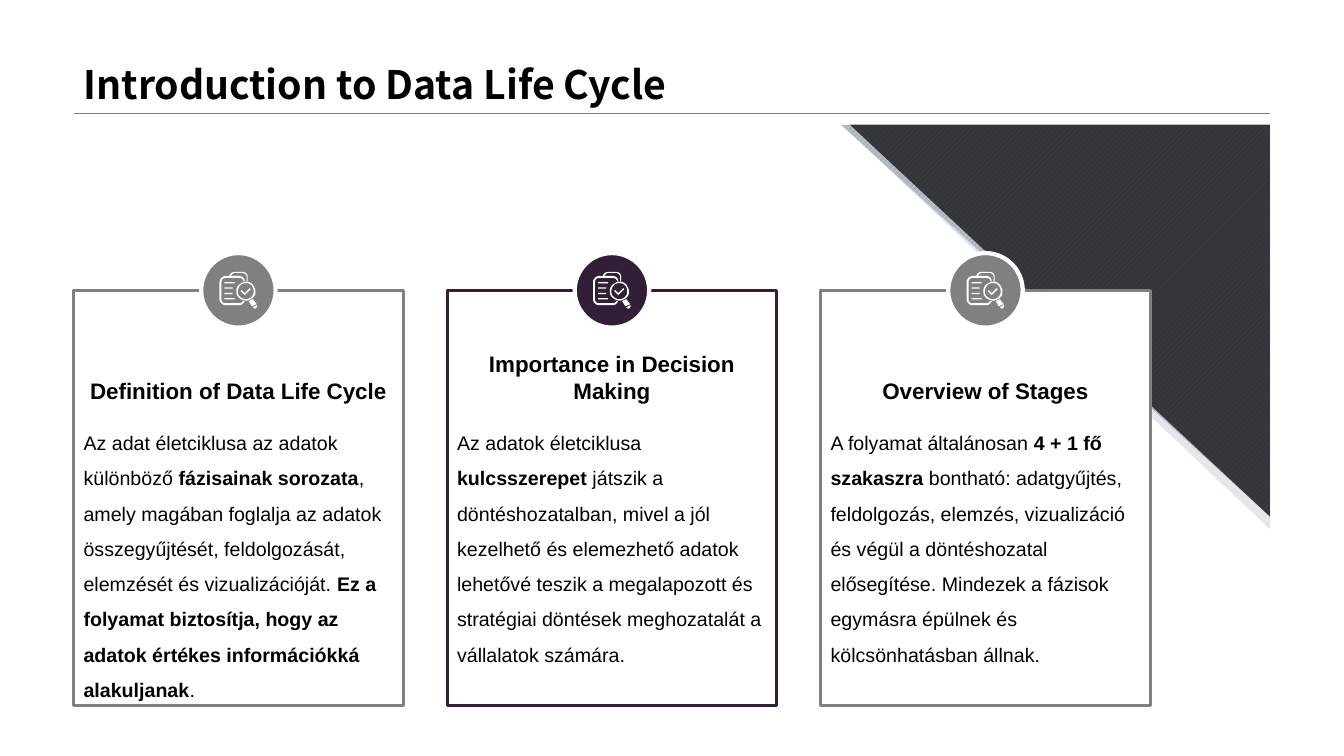
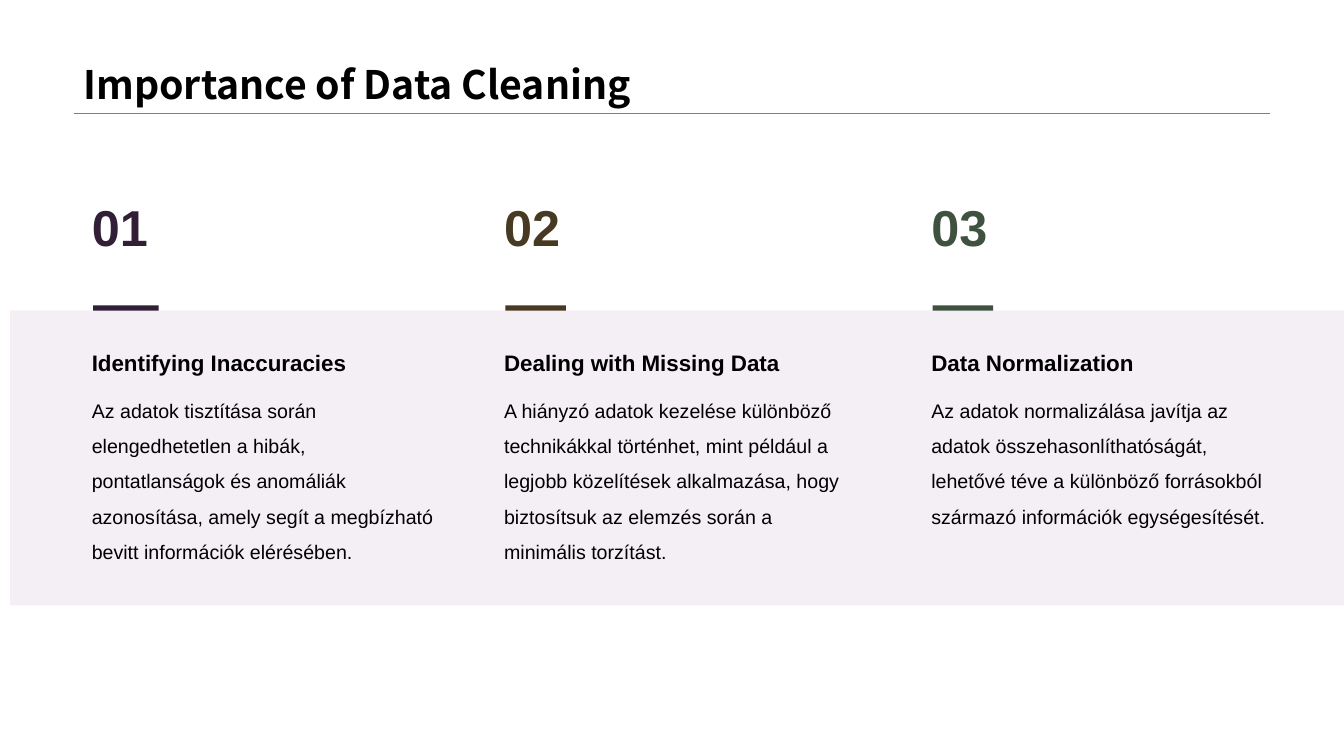
from pptx import Presentation
from pptx.dml.color import RGBColor
from pptx.enum.dml import MSO_PATTERN
from pptx.enum.shapes import MSO_CONNECTOR, MSO_SHAPE
from pptx.enum.text import MSO_ANCHOR, PP_ALIGN
from pptx.oxml.ns import qn
from pptx.util import Pt
from lxml import etree

RECTANGLE = MSO_SHAPE.RECTANGLE
OVAL = MSO_SHAPE.OVAL
RIGHT_TRIANGLE = MSO_SHAPE.RIGHT_TRIANGLE
STRAIGHT = MSO_CONNECTOR.STRAIGHT
DIAGONAL_STRIPES = MSO_PATTERN.WIDE_UPWARD_DIAGONAL
TOP, BOTTOM = MSO_ANCHOR.TOP, MSO_ANCHOR.BOTTOM
LEFT, CENTER = PP_ALIGN.LEFT, PP_ALIGN.CENTER

BLACK, WHITE, GRAY = "000000", "FFFFFF", "808080"
PLUM, BROWN, GREEN = "321F37", "483A22", "3F513F"
PALE, STEEL, LILAC = "E4E6EA", "ADB5BF", "DCC9E0"
TITLE_FONT, TEXT_FONT = "Noto Sans CJK SC", "Arial"

SLIDE_WIDTH, SLIDE_HEIGHT = 960, 540
MARGIN_LEFT, MARGIN_RIGHT, TITLE_BOTTOM = 52.6, 907.2, 81

CARD_TOP, CARD_WIDTH, CARD_HEIGHT, CARD_PITCH = 207.4, 235.4, 296.6, 266.8
BADGE_SIZE = 53.2
ICON_UNIT, ICON_WIDTH, ICON_HEIGHT = 0.72, 37.5, 36.5
CURVE_STEPS = 8


def bar_outline(left, top, right, bottom):
    return [(right, top), (left, top), (left, bottom), (right, bottom)]


CLIPBOARD = [
    (23, 29), (24, 29, 24, 29, 25, 29), (24, 31, 22, 33, 20, 33), (6, 33),
    (3, 33, 0, 30, 0, 27), (0, 10), (0, 7, 3, 4, 6, 4), (10, 4),
    (10, 2, 12, 0, 15, 0), (23, 0), (26, 0, 28, 2, 28, 5), (28, 9),
    (27, 9), (27, 5), (27, 3, 25, 1, 23, 1), (15, 1),
    (13, 1, 12, 3, 11, 4), (20, 4), (22, 4, 25, 6, 25, 9), (24, 9),
    (23, 7, 22, 6, 20, 6), (6, 6), (3, 6, 2, 8, 2, 10), (2, 27),
    (2, 29, 3, 31, 6, 31), (20, 31), (21, 31, 23, 30, 23, 29),
]
LENS_RIM = [
    (31, 27), (27, 30, 21, 28, 18, 24), (15, 19, 17, 13, 22, 11),
    (26, 8, 32, 10, 34, 14), (37, 19, 36, 25, 31, 27),
]
LENS_GLASS = [
    (30, 26), (34, 24, 35, 19, 33, 15), (31, 11, 26, 10, 22, 12),
    (19, 14, 17, 19, 19, 23), (22, 27, 26, 28, 30, 26),
]
HANDLE = [(33, 27), (29, 29), (32, 34), (37, 32)]
HANDLE_TIP = [(37, 33), (33, 35), (34, 36, 35, 37, 36, 36),
              (37, 35, 38, 34, 37, 33)]
CHECK = [(25, 21), (22, 18), (21, 19), (25, 23), (31, 17), (30, 16)]
ICON = [
    CLIPBOARD, LENS_RIM, LENS_GLASS, HANDLE, HANDLE_TIP, CHECK,
    bar_outline(5, 10, 15, 11.3), bar_outline(5, 15.3, 13, 16.6),
    bar_outline(5, 20.7, 13, 22), bar_outline(5, 26, 15, 27.3),
]

CARDS = [
    (GRAY, "Definition of Data Life Cycle", [
        ("Az adat életciklusa az adatok különböző ", False),
        ("fázisainak sorozata", True),
        (", amely magában foglalja az adatok összegyűjtését, feldolgozását, "
         "elemzését és vizualizációját. ", False),
        ("Ez a folyamat biztosítja, hogy az adatok értékes információkká "
         "alakuljanak", True),
        (".", False)]),
    (PLUM, "Importance in Decision Making", [
        ("Az adatok életciklusa ", False),
        ("kulcsszerepet", True),
        (" játszik a döntéshozatalban, mivel a jól kezelhető és elemezhető "
         "adatok lehetővé teszik a megalapozott és stratégiai döntések "
         "meghozatalát a vállalatok számára.", False)]),
    (GRAY, "Overview of Stages", [
        ("A folyamat általánosan ", False),
        ("4 + 1 fő szakaszra", True),
        (" bontható: adatgyűjtés, feldolgozás, elemzés, vizualizáció és "
         "végül a döntéshozatal elősegítése. Mindezek a fázisok egymásra "
         "épülnek és kölcsönhatásban állnak.", False)]),
]

COLUMNS = [
    (56.9, 267.1, 46.8, PLUM, "01", "Identifying Inaccuracies",
     "Az adatok tisztítása során elengedhetetlen a hibák, pontatlanságok és "
     "anomáliák azonosítása, amely segít a megbízható bevitt információk "
     "elérésében."),
    (351.4, 257.8, 43.2, BROWN, "02", "Dealing with Missing Data",
     "A hiányzó adatok kezelése különböző technikákkal történhet, mint "
     "például a legjobb közelítések alkalmazása, hogy biztosítsuk az elemzés "
     "során a minimális torzítást."),
    (656.6, 257.8, 43.2, GREEN, "03", "Data Normalization",
     "Az adatok normalizálása javítja az adatok összehasonlíthatóságát, "
     "lehetővé téve a különböző forrásokból származó információk "
     "egységesítését."),
]


def rgb(value):
    return RGBColor.from_string(value)


def paint(shape, fill, opacity=100, line=None, line_width=0):
    shape.shadow.inherit = False
    shape.fill.solid()
    shape.fill.fore_color.rgb = rgb(fill)
    if opacity < 100:
        color = shape.element.spPr.find(qn("a:solidFill")).find(qn("a:srgbClr"))
        etree.SubElement(color, qn("a:alpha")).set("val", str(opacity * 1000))
    if line:
        shape.line.color.rgb = rgb(line)
        shape.line.width = Pt(line_width)
    else:
        shape.line.fill.background()


def add_block(slide, kind, left, top, width, height, fill, **style):
    block = slide.shapes.add_shape(
        kind, Pt(left), Pt(top), Pt(width), Pt(height))
    paint(block, fill, **style)
    return block


def add_text(slide, left, top, width, height, runs, size, font=TEXT_FONT,
             color=BLACK, anchor=TOP, align=LEFT, spacing=1.0,
             inset=(7.2, 3.6)):
    box = slide.shapes.add_textbox(Pt(left), Pt(top), Pt(width), Pt(height))
    frame = box.text_frame
    frame.word_wrap = True
    frame.vertical_anchor = anchor
    frame.margin_left = frame.margin_right = Pt(inset[0])
    frame.margin_top = frame.margin_bottom = Pt(inset[1])
    paragraph = frame.paragraphs[0]
    paragraph.alignment = align
    paragraph.line_spacing = spacing
    for words, bold in runs:
        run = paragraph.add_run()
        run.text = words
        run.font.name = font
        run.font.size = Pt(size)
        run.font.bold = bold
        run.font.color.rgb = rgb(color)


def add_titled_slide(deck, title):
    slide = deck.slides.add_slide(deck.slide_layouts[6])
    rule = slide.shapes.add_connector(
        STRAIGHT, Pt(MARGIN_LEFT), Pt(TITLE_BOTTOM),
        Pt(MARGIN_RIGHT), Pt(TITLE_BOTTOM))
    rule.line.color.rgb = rgb(GRAY)
    rule.line.width = Pt(0.25)
    etree.SubElement(rule.element.spPr, qn("a:effectLst"))
    add_text(slide, MARGIN_LEFT, 0, MARGIN_RIGHT - MARGIN_LEFT, TITLE_BOTTOM,
             [(title, True)], 28, font=TITLE_FONT, anchor=BOTTOM, spacing=0.9)
    return slide


def add_corner(slide, width, height, fill, opacity=100):
    corner = add_block(slide, RIGHT_TRIANGLE, MARGIN_RIGHT - width, 89,
                       width, height, fill, opacity=opacity)
    corner.element.spPr.xfrm.set("flipH", "1")
    corner.element.spPr.xfrm.set("flipV", "1")
    return corner


def add_corner_panel(slide):
    add_corner(slide, 306, 289, PALE)
    striped = add_corner(slide, 306.6, 280, PALE)
    striped.fill.patterned()
    striped.fill.pattern = DIAGONAL_STRIPES
    striped.fill.fore_color.rgb = rgb(PALE)
    striped.fill.back_color.rgb = rgb(STEEL)
    add_corner(slide, 300.2, 280, BLACK, opacity=70)


def flatten(contour):
    points = [contour[0]]
    for piece in contour[1:]:
        if len(piece) == 2:
            points.append(piece)
            continue
        controls = (points[-1], piece[:2], piece[2:4], piece[4:])
        for step in range(1, CURVE_STEPS + 1):
            t = step / CURVE_STEPS
            weights = ((1 - t) ** 3, 3 * t * (1 - t) ** 2,
                       3 * t ** 2 * (1 - t), t ** 3)
            points.append(tuple(
                sum(w * control[axis] for w, control in zip(weights, controls))
                for axis in (0, 1)))
    return points


def add_icon(slide, center_x, center_y):
    left = center_x - ICON_WIDTH * ICON_UNIT / 2
    top = center_y - ICON_HEIGHT * ICON_UNIT / 2
    outlines = [[(Pt(left + x * ICON_UNIT), Pt(top + y * ICON_UNIT))
                 for x, y in flatten(contour)] for contour in ICON]
    builder = slide.shapes.build_freeform(*outlines[0][0], scale=1.0)
    for outline in outlines:
        builder.move_to(*outline[0])
        builder.add_line_segments(outline[1:], close=True)
    paint(builder.convert_to_shape(), WHITE)


def add_card(slide, left, color, heading, runs):
    center = left + CARD_WIDTH / 2
    add_block(slide, RECTANGLE, left, CARD_TOP, CARD_WIDTH, CARD_HEIGHT,
              WHITE, line=color, line_width=2.25)
    add_block(slide, OVAL, center - BADGE_SIZE / 2, CARD_TOP - BADGE_SIZE / 2,
              BADGE_SIZE, BADGE_SIZE, color, line=WHITE, line_width=3)
    add_icon(slide, center, CARD_TOP)
    add_text(slide, left, 246.2, CARD_WIDTH, 45.8, [(heading, True)], 16,
             anchor=BOTTOM, align=CENTER)
    add_text(slide, left, 295.9, CARD_WIDTH, 208, runs, 14, spacing=1.5)


def add_column(slide, left, width, bar_width, color, number, heading, body):
    inset = (8.64, 8.64)
    add_text(slide, left, 241.2, width, 36, [(heading, True)], 16,
             anchor=BOTTOM, inset=inset)
    add_text(slide, left, 267.8, width, 143.2, [(body, False)], 14,
             spacing=1.5, inset=inset)
    add_text(slide, left, 131.8, width, 60.4, [(number, True)], 36,
             color=color, anchor=BOTTOM, inset=inset)
    add_block(slide, RECTANGLE, left + 9.6, 218.2, bar_width, 3.8, color)


def main():
    deck = Presentation()
    deck.slide_width, deck.slide_height = Pt(SLIDE_WIDTH), Pt(SLIDE_HEIGHT)

    life_cycle = add_titled_slide(deck, "Introduction to Data Life Cycle")
    add_corner_panel(life_cycle)
    for index, card in enumerate(CARDS):
        add_card(life_cycle, MARGIN_LEFT + index * CARD_PITCH, *card)

    cleaning = add_titled_slide(deck, "Importance of Data Cleaning")
    add_block(cleaning, RECTANGLE, 7.2, 221.8, SLIDE_WIDTH - 7.2, 210.6,
              LILAC, opacity=30)
    for column in COLUMNS:
        add_column(cleaning, *column)

    deck.save("out.pptx")


if __name__ == "__main__":
    main()
